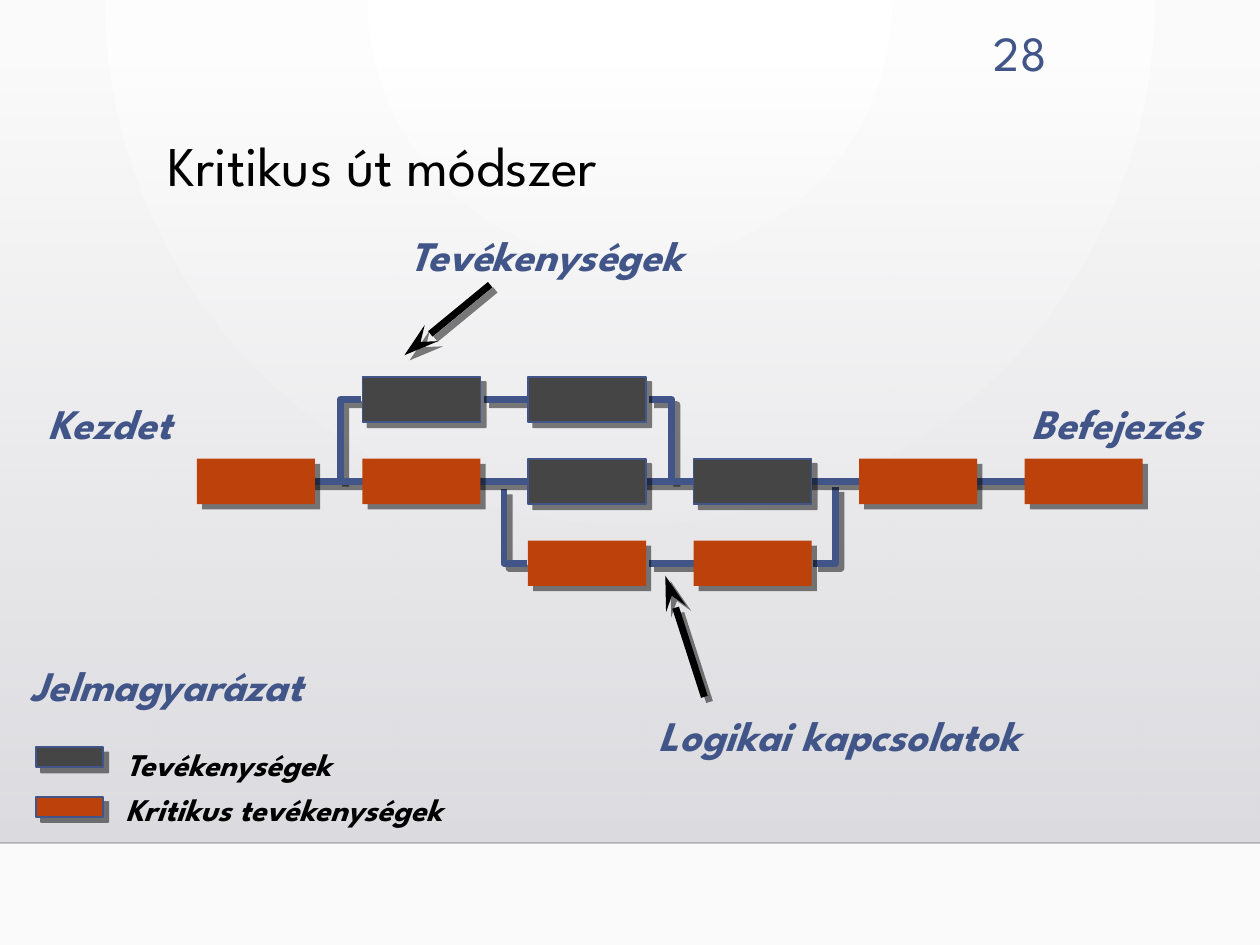
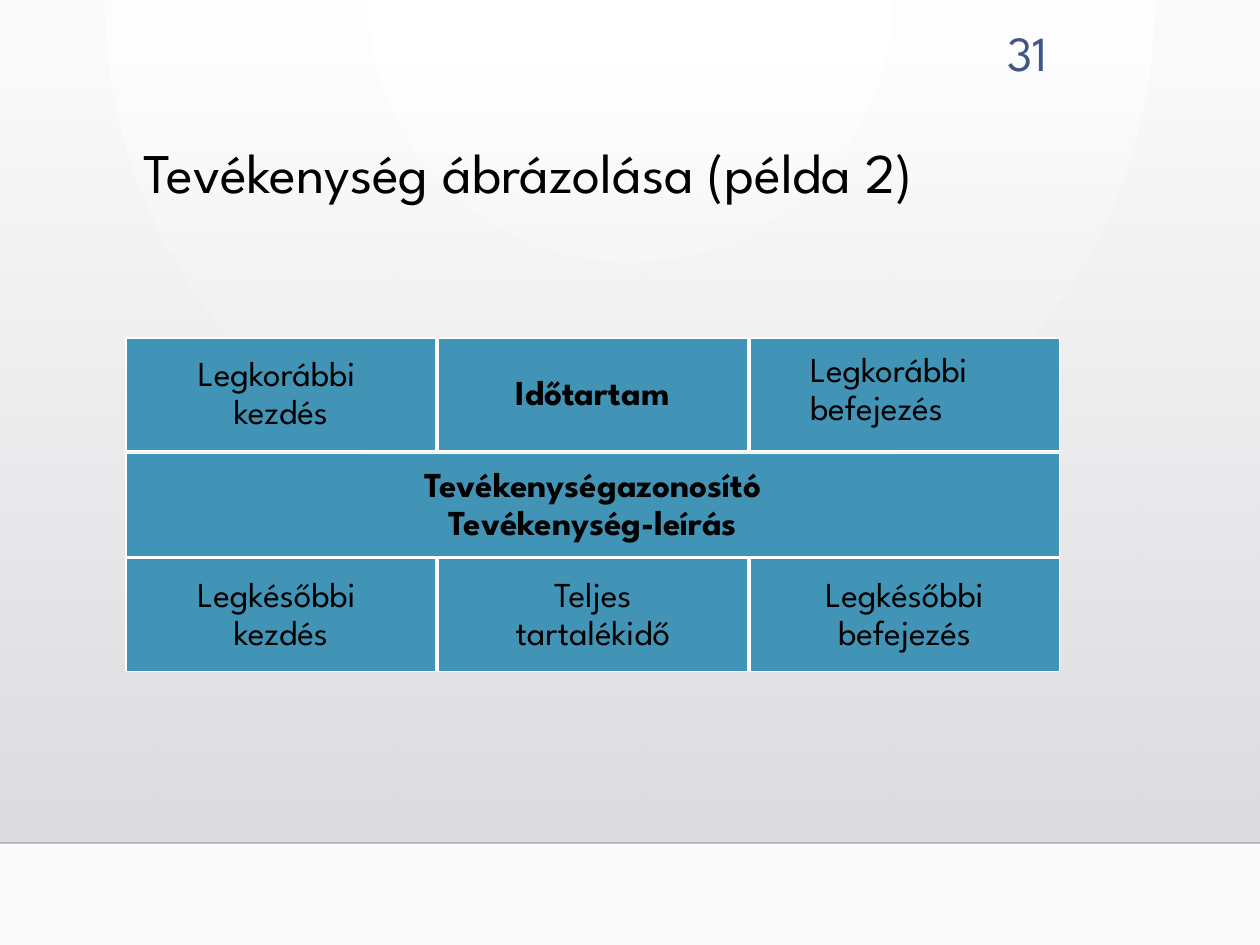
from lxml.etree import SubElement
from pptx import Presentation
from pptx.dml.color import RGBColor
from pptx.enum.shapes import MSO_CONNECTOR, MSO_SHAPE
from pptx.enum.text import MSO_ANCHOR, MSO_AUTO_SIZE, PP_ALIGN
from pptx.oxml.ns import qn
from pptx.util import Pt

FONT = "League Spartan"
BLACK = RGBColor(0x00, 0x00, 0x00)
WHITE = RGBColor(0xFF, 0xFF, 0xFF)
PALE = RGBColor(0xFA, 0xFA, 0xFA)
MIST = RGBColor(0xDC, 0xDC, 0xE0)
SMOKE = RGBColor(0xDE, 0xDE, 0xE2)
BLUE = RGBColor(0x41, 0x55, 0x88)
GREY = RGBColor(0x45, 0x45, 0x45)
RUST = RGBColor(0xBC, 0x41, 0x0A)
TEAL = RGBColor(0x42, 0x94, 0xB6)


def child(node, tag, **attrs):
    """Add a drawing element with the given attributes."""
    return SubElement(node, qn(tag), {key: str(val) for key, val in attrs.items()})


def fade(node, share):
    """Make the first colour under a node partly clear."""
    child(node.find(".//" + qn("a:srgbClr")), "a:alpha", val=share * 1000)


def cast(node):
    """Fill an effect list with the hard slanted shadow."""
    shade = child(node, "a:outerShdw", blurRad=0, dist=Pt(4.2), dir=2700000,
                  algn="ctr", rotWithShape=0)
    child(child(shade, "a:srgbClr", val=BLACK), "a:alpha", val=50000)


def blend(fill, first, last):
    """Turn a fill into a gradient of two colours."""
    fill.gradient()
    for stop, tint in zip(fill.gradient_stops, (first, last)):
        stop.color.rgb = tint


def write(frame, lines, size, tint=BLACK, bold=False, slant=False, glow=False,
          align=PP_ALIGN.LEFT, lead=None, before=0, after=0):
    """Write one paragraph per line into a text frame."""
    for num, line in enumerate(lines):
        para = frame.add_paragraph() if num else frame.paragraphs[0]
        para.alignment = align
        para.line_spacing = lead
        if num and before:
            para.space_before = Pt(before)
        para.space_after = Pt(after)
        run = para.add_run()
        run.text = line
        font = run.font
        font.name, font.size, font.bold, font.italic = FONT, Pt(size), bold, slant
        font.color.rgb = tint
        if glow:
            props = run.font._element
            shade = child(props, "a:effectLst")
            props.find(qn("a:solidFill")).addnext(shade)
            cast(shade)


def text(slide, box, lines, size, wrap=False, anchor=MSO_ANCHOR.TOP, **look):
    """Add a text box."""
    frame = slide.shapes.add_textbox(*map(Pt, box)).text_frame
    frame.word_wrap = wrap
    frame.vertical_anchor = anchor
    frame.auto_size = MSO_AUTO_SIZE.NONE if wrap else MSO_AUTO_SIZE.SHAPE_TO_FIT_TEXT
    write(frame, lines, size, **look)


def block(shapes, box, tint, edge=None, shade=False):
    """Add a filled rectangle, with an edge and a shadow if asked."""
    shape = shapes.add_shape(MSO_SHAPE.RECTANGLE, *map(Pt, box))
    shape.fill.solid()
    shape.fill.fore_color.rgb = tint
    if edge is None:
        shape.line.fill.background()
    else:
        shape.line.color.rgb = edge
        shape.line.width = Pt(1)
    shape.shadow.inherit = False
    if shade:
        cast(shape.element.spPr.find(qn("a:effectLst")))
    return shape


def wire(slide, start, end, tint, width=4, shade=True, head=False):
    """Add a straight line, with an arrowhead if asked."""
    line = slide.shapes.add_connector(MSO_CONNECTOR.STRAIGHT, *map(Pt, (*start, *end)))
    line.line.color.rgb = tint
    line.line.width = Pt(width)
    props = line.element.spPr
    if head:
        child(props.find(qn("a:ln")), "a:tailEnd", type="stealth", w="med", len="lg")
    effect = child(props, "a:effectLst")
    if shade:
        cast(effect)
    return line


def elbow(slide, points):
    """Add an open bent line through the points."""
    first, *rest = [tuple(map(Pt, point)) for point in points]
    pen = slide.shapes.build_freeform(*first)
    pen.add_line_segments(rest, close=False)
    shape = pen.convert_to_shape()
    shape.fill.background()
    shape.line.color.rgb = BLUE
    shape.line.width = Pt(4)
    shape.shadow.inherit = False
    cast(shape.element.spPr.find(qn("a:effectLst")))


def label(slide, box, words):
    """Add a blue slanted heading with a shadow."""
    text(slide, box, [words], 24, tint=BLUE, bold=True, slant=True, glow=True,
         lead=0.85, after=2.4)


def backdrop(deck):
    """Give the master its round pale gradient."""
    fill = deck.slide_master.background.fill
    blend(fill, WHITE, PALE)
    node = deck.slide_master.element.find(".//" + qn("p:bg")).find(".//" + qn("a:gradFill"))
    node.remove(node.find(qn("a:lin")))
    child(child(node, "a:path", path="circle"), "a:fillToRect",
          l=43000, t=0, r=43000, b=100000)


def base(deck, number, title, box):
    """Start a slide with its band, rule, number and title."""
    slide = deck.slides.add_slide(deck.slide_layouts[6])
    band = block(slide.shapes, (0, 36.7, 720, 445), MIST)
    blend(band.fill, MIST, SMOKE)
    band.fill.gradient_angle = 270
    fade(band.element.spPr, 0)
    rule = wire(slide, (0, 481.7), (720, 481.7), BLACK, 1, shade=False)
    fade(rule.element.spPr, 20)
    text(slide, (542.9, 10, 62.6, 39.6), [number], 28, wrap=True, tint=BLUE,
         anchor=MSO_ANCHOR.MIDDLE, align=PP_ALIGN.RIGHT)
    text(slide, box, [title], 32, wrap=True, lead=0.9)
    return slide


def network(slide, left, top):
    """Draw the activity network from its top left corner."""
    step, drop, wide, high = 94.6, 46.8, 67.5, 26
    rows = [top + high / 2 + drop * row for row in range(3)]
    bends = [(94, 82, 0, 0), (258.3, 271.3, 0, 0),
             (188.5, 175.5, 2, 4.5), (352, 365, 2, 3)]
    links = [(164, 195.7, 0), (64.6, 473.6, 1), (258.3, 284.2, 2)]
    for near, far, row, gap in bends:
        elbow(slide, [(left + near, rows[row]), (left + far, rows[row]),
                      (left + far, rows[1] + gap)])
    for start, end, row in links:
        wire(slide, (left + start, rows[row]), (left + end, rows[row]), BLUE)
    for row, cells in enumerate((" GG", "RRGGRR", "  RR")):
        for col, kind in enumerate(cells):
            if kind != " ":
                tint, edge = (GREY, BLUE) if kind == "G" else (RUST, None)
                block(slide.shapes, (left + step * col, top + drop * row, wide, high),
                      tint, edge, shade=True)


def legend(slide, left, top):
    """Draw the colour key under its heading."""
    label(slide, (left, top, 180, 31.7), "Jelmagyarázat")
    for num, tint in enumerate((GREY, RUST)):
        block(slide.shapes, (left + 10.4, top + 49 + 28.3 * num, 38.5, 11.5),
              tint, BLUE, shade=True)
    text(slide, (left + 54.7, top + 43.9, 214.6, 56.2),
         ["Tevékenységek", "Kritikus tevékenységek"], 18,
         bold=True, slant=True, before=2.7, after=1.8)


def method(deck):
    """Build the critical path slide."""
    slide = base(deck, "28", "Kritikus út módszer", (88.6, 75.6, 517.7, 82.8))
    network(slide, 112.5, 215.3)
    legend(slide, 10.1, 378)
    for box, words in (((20.9, 228.2, 92.9, 31.7), "Kezdet"),
                       ((582.5, 228.2, 125.3, 31.7), "Befejezés"),
                       ((226.8, 131.8, 192.2, 31.7), "Tevékenységek"),
                       ((369.4, 406.1, 244.1, 31.7), "Logikai kapcsolatok")):
        label(slide, box, words)
    for start, end in (((280.1, 162.7), (231.1, 203)), ((402.5, 398.2), (380.2, 329))):
        wire(slide, start, end, BLACK, head=True)


def card(slide, left, top):
    """Draw the activity card from its top left corner."""
    wide, step, high = 177.1, 178.2, 64.8
    full = wide + 2 * step
    cells = [(0, 0, wide, high, ["Legkorábbi ", "kezdés"], False),
             (step, 0, wide, high, ["Időtartam"], True),
             (2 * step, 0, wide, high, [], False),
             (0, 66.2, full, 59, ["Tevékenységazonosító", "Tevékenység-leírás"], True),
             (0, 126, wide, high, ["Legkésőbbi ", "kezdés"], False),
             (step, 126, wide, high, ["Teljes", "tartalékidő"], False),
             (2 * step, 126, wide, high, ["Legkésőbbi", "befejezés"], False)]
    shapes = slide.shapes.add_group_shape().shapes
    for col, row, width, height, lines, bold in cells:
        frame = block(shapes, (left + col, top + row, width, height), TEAL, WHITE).text_frame
        frame.word_wrap = False
        frame.vertical_anchor = MSO_ANCHOR.MIDDLE
        write(frame, lines, 20, bold=bold, align=PP_ALIGN.CENTER, lead=0.9)
    frame = block(shapes, (left + 383.8, top + 5, 113.8, 50.4), TEAL).text_frame
    frame.word_wrap = False
    frame.vertical_anchor = MSO_ANCHOR.TOP
    frame.auto_size = MSO_AUTO_SIZE.SHAPE_TO_FIT_TEXT
    write(frame, ["Legkorábbi", "befejezés"], 20, lead=0.9)


def sample(deck):
    """Build the activity card slide."""
    slide = base(deck, "31", "Tevékenység ábrázolása (példa 2)", (74.9, 79.2, 606.2, 66.2))
    card(slide, 72, 193)


def main():
    """Build and save the deck."""
    deck = Presentation()
    deck.slide_width, deck.slide_height = Pt(720), Pt(540)
    backdrop(deck)
    method(deck)
    sample(deck)
    deck.save("out.pptx")


if __name__ == "__main__":
    main()
